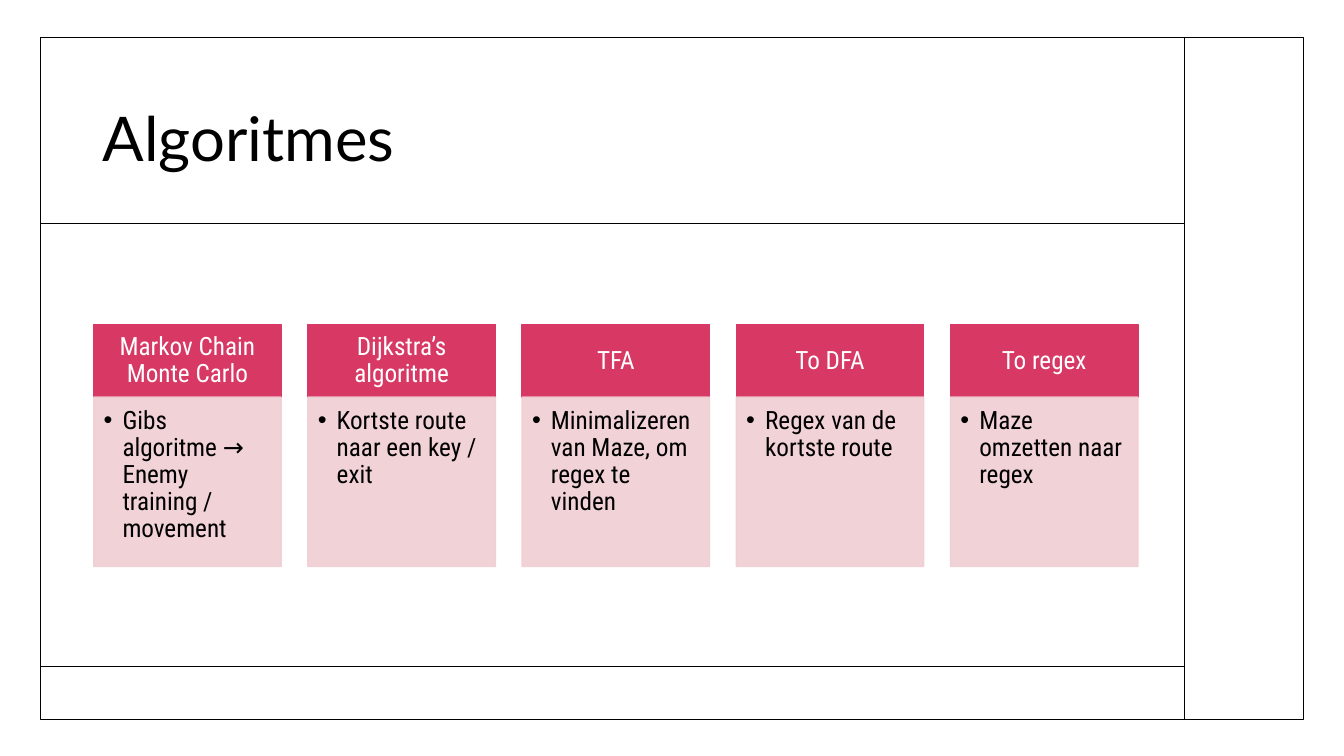
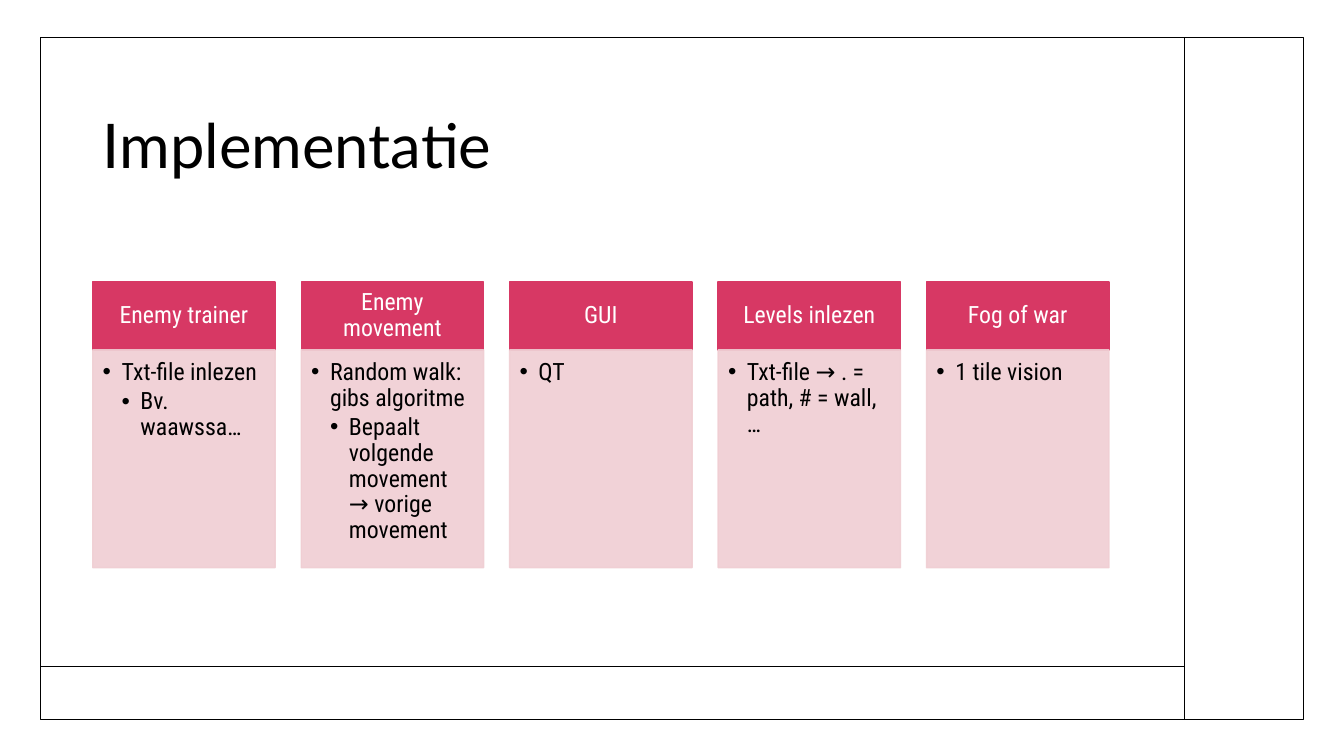
from lxml.etree import SubElement
from pptx import Presentation
from pptx.dml.color import RGBColor
from pptx.enum.shapes import MSO_CONNECTOR as Line, MSO_SHAPE as Shape
from pptx.enum.text import MSO_ANCHOR as Anchor, PP_ALIGN as Align
from pptx.oxml.ns import qn
from pptx.util import Pt

BLACK, WHITE, RED, PINK = "000000", "FFFFFF", "D73864", "F0CED3"
HEAD, BODY = "Lato", "Roboto Condensed"
LEFT, TOP, EDGE, BASE = 28.8, 26.64, 846, 475.92
WIDE, HIGH = 902.16, 487.44
STEP = 13.5

slides = [
    dict(
        title="Algoritmes", box=(66.24, 64.08, 747.36, 73.44), rule=True,
        left=66.96, top=231.84, width=133.92, pitch=153,
        head=51.84, body=120.96, size=18, pad=10,
        cards=[
            ("Markov Chain Monte Carlo", ["Gibs algoritme → Enemy training / movement"]),
            ("Dijkstra’s algoritme", ["Kortste route naar een key / exit"]),
            ("TFA", ["Minimalizeren van Maze, om regex te vinden"]),
            ("To DFA", ["Regex van de kortste route"]),
            ("To regex", ["Maze omzetten naar regex"]),
        ],
    ),
    dict(
        title="Implementatie", box=(66.24, 64.08, 726.48, 84.24), rule=False,
        left=66.24, top=201.4, width=130.32, pitch=148.9,
        head=48.6, body=155.5, size=17, pad=9.4,
        cards=[
            ("Enemy trainer", ["Txt-file inlezen", "Bv. waawssa…"]),
            ("Enemy movement", ["Random walk: gibs algoritme",
                                "Bepaalt volgende movement → vorige movement"]),
            ("GUI", ["QT"]),
            ("Levels inlezen", ["Txt-file → . = path, # = wall, …"]),
            ("Fog of war", ["1 tile vision"]),
        ],
    ),
]


def rect(page, box, fill, line, alpha=None):
    shape = page.shapes.add_shape(Shape.RECTANGLE, *map(Pt, box))
    shape.shadow.inherit = False
    shape.line.width = Pt(1)
    shape.line.color.rgb = RGBColor.from_string(line)
    if fill:
        shape.fill.solid()
        shape.fill.fore_color.rgb = RGBColor.from_string(fill)
    else:
        shape.fill.background()
    if alpha:
        for tone in shape._element.spPr.iter(qn("a:srgbClr")):
            SubElement(tone, qn("a:alpha"), val=str(alpha * 1000))
    return shape


def write(para, text, font, size, color, align=Align.LEFT):
    para.alignment = align
    para.line_spacing = 0.9
    run = para.add_run()
    run.text = text
    run.font.name = font
    run.font.size = Pt(size)
    run.font.color.rgb = RGBColor.from_string(color)


deck = Presentation()
deck.slide_width, deck.slide_height = Pt(960), Pt(540)

for data in slides:
    page = deck.slides.add_slide(deck.slide_layouts[6])

    # Frame and rules
    rect(page, (LEFT, TOP, WIDE, HIGH), None, BLACK)
    rules = [(LEFT, BASE, EDGE, BASE), (EDGE, TOP, EDGE, TOP + HIGH)]
    if data["rule"]:
        rules.append((LEFT, 159.84, EDGE, 159.84))
    for ends in rules:
        rule = page.shapes.add_connector(Line.STRAIGHT, *map(Pt, ends))
        rule.line.width = Pt(1)
        rule.line.color.rgb = RGBColor.from_string(BLACK)
        SubElement(rule._element.spPr, qn("a:effectLst"))

    # Title
    frame = page.shapes.add_textbox(*map(Pt, data["box"])).text_frame
    frame.word_wrap = True
    frame.vertical_anchor = Anchor.MIDDLE
    write(frame.paragraphs[0], data["title"], HEAD, 44, BLACK)

    # Cards
    top, width, size, pad = (data[key] for key in ("top", "width", "size", "pad"))
    for i, (name, points) in enumerate(data["cards"]):
        x = data["left"] + i * data["pitch"]
        frame = rect(page, (x, top, width, data["head"]), RED, RED).text_frame
        frame.word_wrap = True
        frame.vertical_anchor = Anchor.MIDDLE
        frame.margin_left = frame.margin_right = Pt(pad)
        frame.margin_top = frame.margin_bottom = Pt(5.6)
        write(frame.paragraphs[0], name, BODY, size, WHITE, Align.CENTER)

        area = (x, top + data["head"], width, data["body"])
        frame = rect(page, area, PINK, PINK, 90).text_frame
        frame.word_wrap = True
        frame.vertical_anchor = Anchor.TOP
        frame.margin_left = frame.margin_top = Pt(7.2)
        frame.margin_right, frame.margin_bottom = Pt(pad), Pt(11)
        for depth, text in enumerate(points):
            para = frame.add_paragraph() if depth else frame.paragraphs[0]
            para.level = depth + 1
            para.space_after = Pt(0.15 * size)
            write(para, text, BODY, size, BLACK)
            props = para._p.get_or_add_pPr()
            props.set("marL", str(Pt(STEP * (depth + 1))))
            props.set("indent", str(Pt(-STEP)))
            SubElement(props, qn("a:buFont"), typeface="Arial")
            SubElement(props, qn("a:buChar"), char="•")

deck.save("out.pptx")
